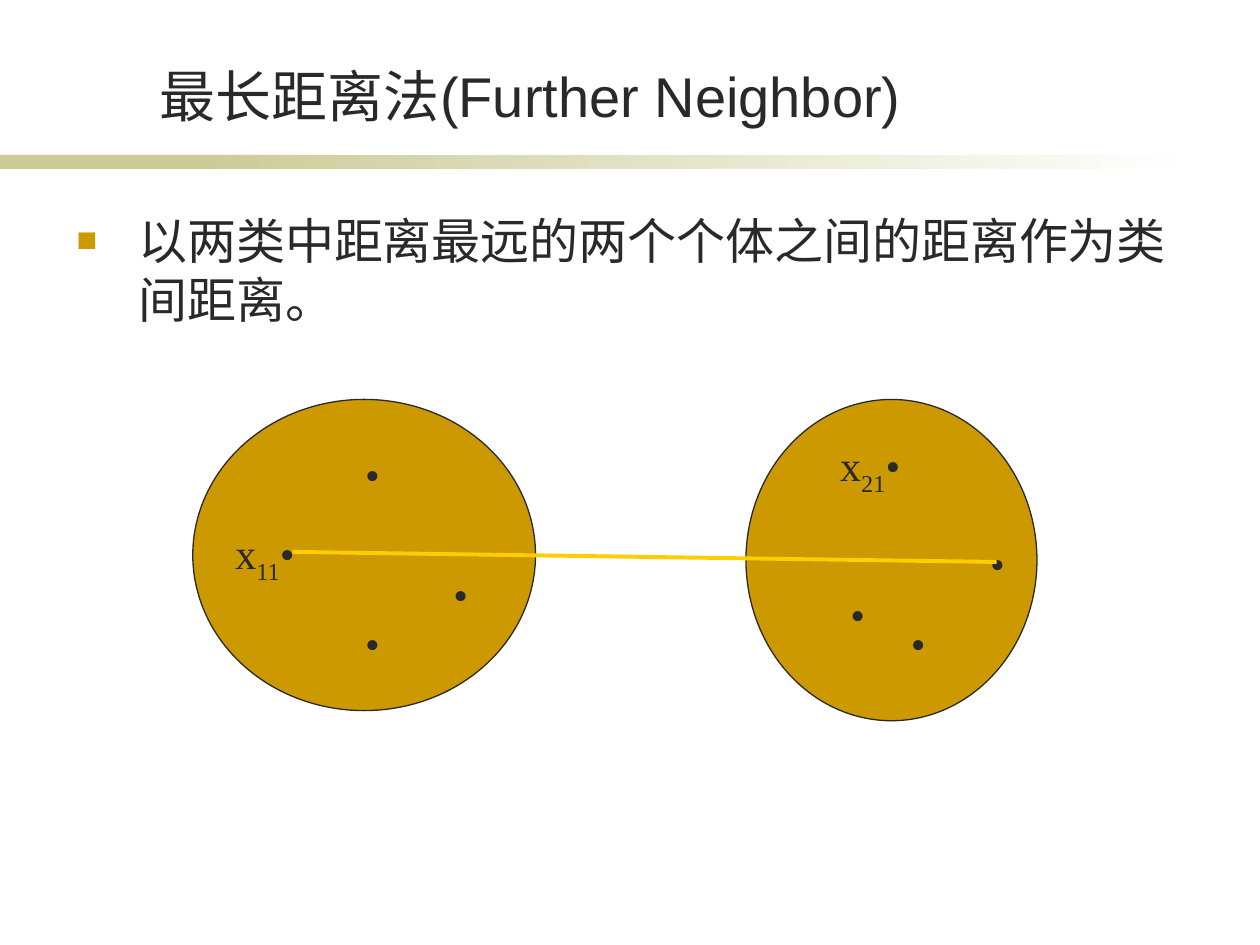
import pptx
import pptx.util
import pptx.dml.color
import pptx.enum.shapes
import pptx.enum.text
import pptx.oxml
import pptx.oxml.ns
import lxml.etree

Inches = pptx.util.Inches
Pt = pptx.util.Pt
Color = pptx.dml.color.RGBColor.from_string
Kind = pptx.enum.shapes.MSO_SHAPE
Align = pptx.enum.text.PP_ALIGN
Anchor = pptx.enum.text.MSO_ANCHOR
Fit = pptx.enum.text.MSO_AUTO_SIZE

theme = {
    "ink": Color("292929"), "gold": Color("CC9900"), "line": Color("FFCC00"),
    "band": Color("CCCC99"), "paper": Color("FFFFFF"),
    "title": Pt(32), "body": Pt(28), "label": Pt(24),
    "sans": "Arial", "serif": "Times New Roman",
}


def add_box(shapes, left, top, width, height, wrap=True):
    box = shapes.add_textbox(Inches(left), Inches(top), Inches(width), Inches(height))
    box.text_frame.word_wrap = wrap
    box.text_frame.auto_size = Fit.NONE if wrap else Fit.SHAPE_TO_FIT_TEXT
    return box.text_frame


def add_run(para, text, size, face):
    run = para.add_run()
    run.text = text
    run.font.size = theme[size]
    run.font.name = theme[face]
    run.font.color.rgb = theme["ink"]
    return run


deck = pptx.Presentation()
deck.slide_width = Inches(10)
deck.slide_height = Inches(7.5)
slide = deck.slides.add_slide(deck.slide_layouts[6])

for left, width, fade in [(0, 2.33, False), (1.58, 7.92, True)]:
    band = slide.shapes.add_shape(
        Kind.RECTANGLE, Inches(left), Inches(1.23), Inches(width), Inches(0.11))
    band.shadow.inherit = False
    band.line.fill.background()
    if fade:
        band.fill.gradient()
        band.fill.gradient_angle = 0
        for stop, tone, place in zip(band.fill.gradient_stops, ("band", "paper"), (0, 1)):
            stop.color.rgb = theme[tone]
            stop.position = place
    else:
        band.fill.solid()
        band.fill.fore_color.rgb = theme["band"]

frame = add_box(slide.shapes, 1.14, 0.44, 6.14, 0.63)
frame.vertical_anchor = Anchor.BOTTOM
para = frame.paragraphs[0]
para.alignment = Align.CENTER
add_run(para, "最长距离法(Further Neighbor)", "title", "sans")

para = add_box(slide.shapes, 0.51, 1.62, 8.9, 4.8).paragraphs[0]
props = para._p.get_or_add_pPr()
props.set("marL", str(Inches(0.49)))
props.set("indent", str(-Inches(0.49)))
tint = lxml.etree.SubElement(props, pptx.oxml.ns.qn("a:buClr"))
lxml.etree.SubElement(tint, pptx.oxml.ns.qn("a:srgbClr")).set("val", str(theme["gold"]))
for tag, key, value in [("a:buSzPct", "val", "70000"),
                        ("a:buFont", "typeface", theme["sans"]),
                        ("a:buChar", "char", "■")]:
    lxml.etree.SubElement(props, pptx.oxml.ns.qn(tag)).set(key, value)
add_run(para, "以两类中距离最远的两个个体之间的距离作为类间距离。", "body", "sans")

group = slide.shapes.add_group_shape().shapes
for left, width, height in [(1.53, 2.72, 2.47), (5.92, 2.31, 2.55)]:
    oval = group.add_shape(
        Kind.OVAL, Inches(left), Inches(3.17), Inches(width), Inches(height))
    oval.shadow.inherit = False
    oval.fill.solid()
    oval.fill.fore_color.rgb = theme["gold"]
    oval.line.color.rgb = theme["ink"]
    oval.line.width = Pt(0.75)

points = [
    (2.8, 4.85, ""), (3.5, 4.46, ""), (2.8, 3.51, ""), (1.77, 4.14, "11"),
    (6.57, 3.44, "21"), (7.76, 4.22, ""), (7.13, 4.85, ""), (6.65, 4.62, ""),
]
for left, top, index in points:
    width = 0.71 if index else 0.32
    para = add_box(group, left, top, width, 0.5, wrap=False).paragraphs[0]
    if index:
        add_run(para, "x", "label", "serif")
        sub = add_run(para, index, "label", "serif")
        sub._r.get_or_add_rPr().set("baseline", "-25000")
    add_run(para, "•", "label", "serif")

link = group.add_connector(
    pptx.enum.shapes.MSO_CONNECTOR.STRAIGHT,
    Inches(2.32), Inches(4.38), Inches(7.91), Inches(4.46))
link.line.color.rgb = theme["line"]
link.line.width = Pt(2.25)
lxml.etree.SubElement(link._element.spPr, pptx.oxml.ns.qn("a:effectLst"))

deck.save("out.pptx")
